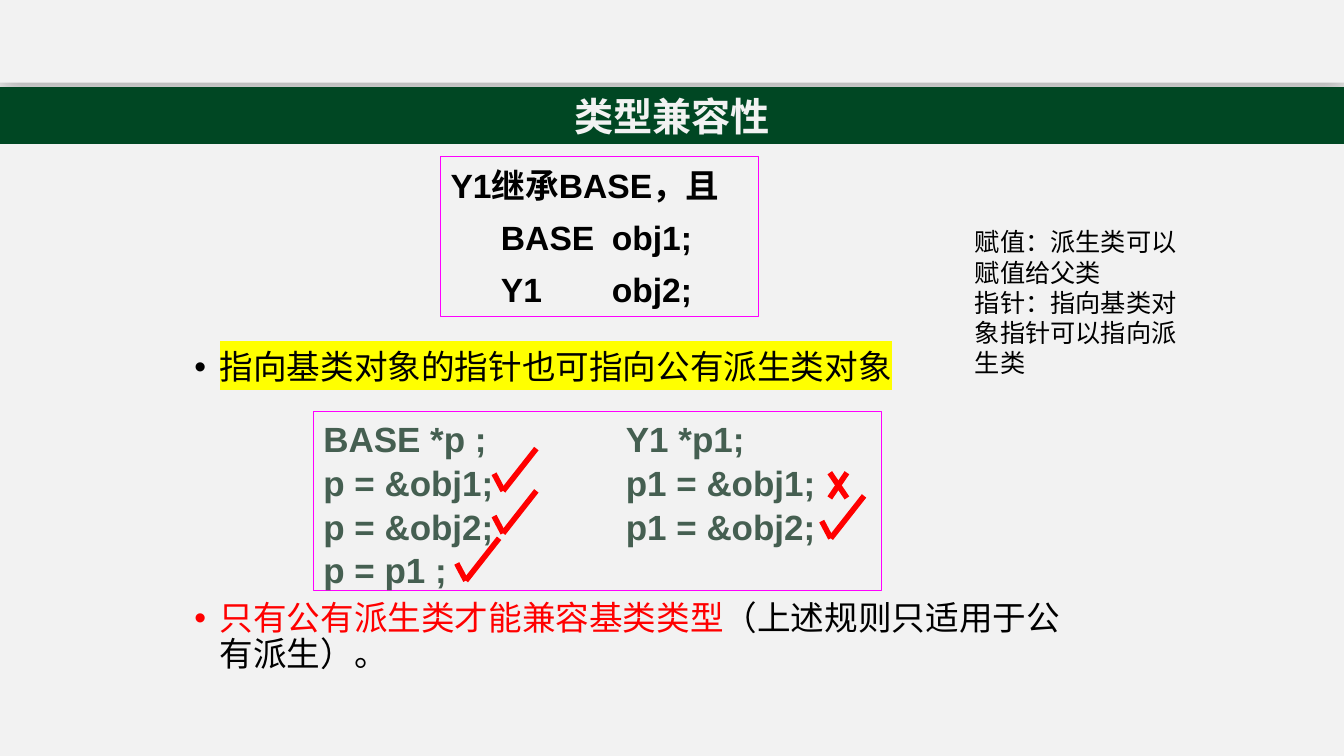
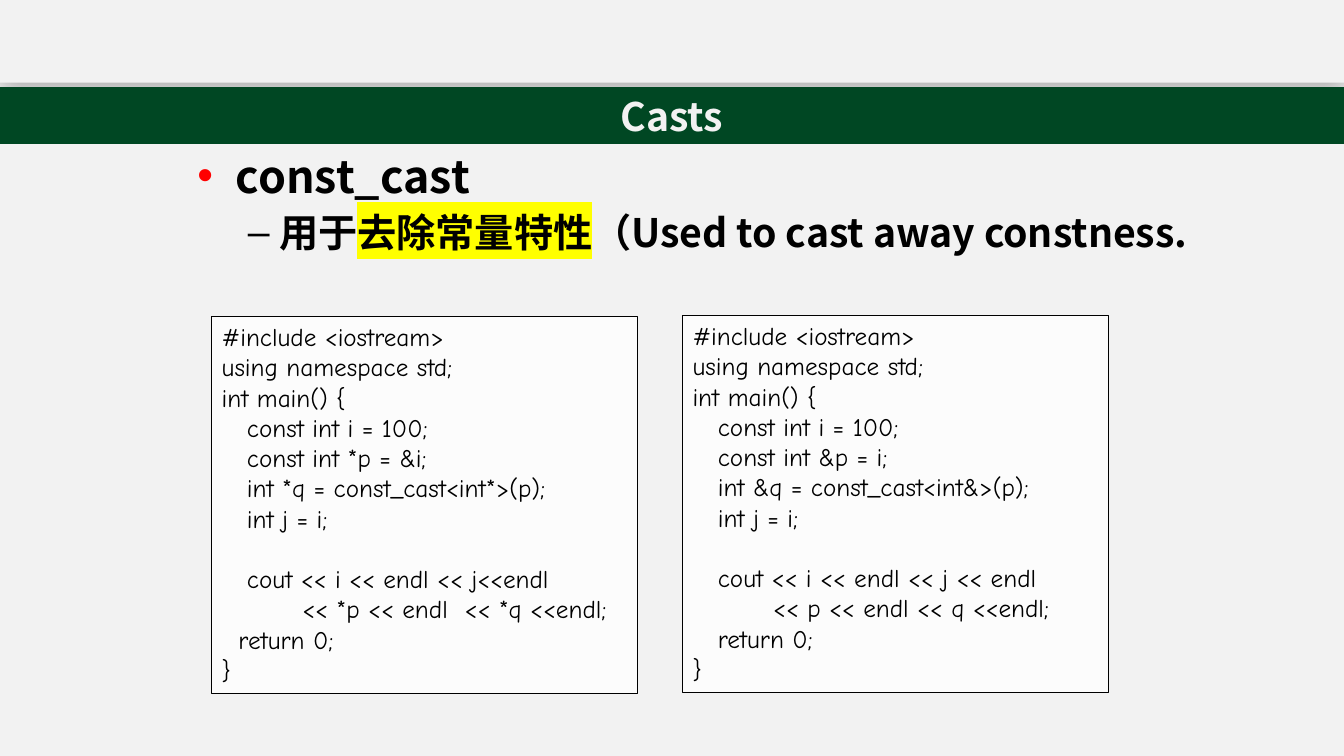
from lxml import etree
from pptx import Presentation
from pptx.dml.color import RGBColor
from pptx.enum.shapes import MSO_CONNECTOR, MSO_SHAPE
from pptx.enum.text import MSO_ANCHOR, PP_ALIGN
from pptx.oxml.ns import qn
from pptx.util import Inches, Pt

RECT = MSO_SHAPE.RECTANGLE
STRAIGHT = MSO_CONNECTOR.STRAIGHT
TOP, MIDDLE = MSO_ANCHOR.TOP, MSO_ANCHOR.MIDDLE
LEFT, CENTER = PP_ALIGN.LEFT, PP_ALIGN.CENTER


class Theme:
    paper, band, title = "F2F2F2", "004723", "F2F2F2"
    ink, red, code, frame = "000000", "FF0000", "455F51", "FF00FF"
    white, marker = "FFFFFF", "FFFF00"
    cjk, sans, comic = "Noto Sans CJK SC", "Arial", "Comic Neue"
    title_size, head_size, sub_size = 28, 32, 28
    body_size, pointer_size, note_size = 24, 25, 18
    thin, mark = 0.75, 4


SLIDE_W, SLIDE_H = 13.33, 7.5

COMPATIBILITY = "类型兼容性"
DECLARATIONS = ["Y1继承BASE，且", "\tBASE\tobj1;", "\tY1\tobj2;"]
RULES = [
    ([("指向基类对象的指针也可指向公有派生类对象", Theme.ink, True)], Theme.ink, 0),
    ([("只有公有派生类才能兼容基类类型", Theme.red, False),
      ("（上述规则只适用于公有派生）。", Theme.ink, False)], Theme.red, 153.6),
]
POINTERS = ["BASE *p ;\tY1 *p1;", "p = &obj1;\tp1 = &obj1;",
            "p = &obj2;\tp1 = &obj2;", "p = p1 ;"]
NOTES = ["赋值：派生类可以赋值给父类", "指针：指向基类对象指针可以指向派生类"]
TICKS = [(4.9, 4.7), (4.9, 5.12), (4.53, 5.59), (8.15, 5.17)]
CROSS = (8.23, 4.69)

CASTS = "Casts"
CAST_NAME = "const_cast"
CAST_USE = [("用于", Theme.ink, False), ("去除常量特性", Theme.ink, True),
            ("（Used to cast away constness.", Theme.ink, False)]
HEADER = ["#include <iostream>", "using namespace std;", "int main() {",
          "   const int i = 100;"]
LISTINGS = [
    (2.1, 3.14,
     HEADER + ["   const int *p = &i;", "   int *q = const_cast<int*>(p);", "   int j = i;"],
     ["   cout << i << endl << j<<endl", "\t<< *p << endl  << *q <<endl;", "  return 0;", "}"]),
    (6.77, 3.13,
     HEADER + ["   const int &p = i;", "   int &q = const_cast<int&>(p);", "   int j = i;"],
     ["   cout << i << endl << j << endl", "\t<< p << endl << q <<endl;", "   return 0;", "}"]),
]


def rgb(value):
    return RGBColor.from_string(value)


def child(parent, tag, **attrs):
    return etree.SubElement(parent, qn(tag), {k: str(v) for k, v in attrs.items()})


def add_box(s, left, top, width, height, fill=None, line=None, weight=Theme.thin, alpha=None):
    sp = s.shapes.add_shape(RECT, Inches(left), Inches(top), Inches(width), Inches(height))
    sp.shadow.inherit = False
    if fill:
        sp.fill.solid()
        sp.fill.fore_color.rgb = rgb(fill)
        if alpha:
            color = sp._element.spPr.find(qn("a:solidFill"))[0]
            child(color, "a:alpha", val=alpha * 1000)
    else:
        sp.fill.background()
    if line:
        sp.line.color.rgb = rgb(line)
        sp.line.width = Pt(weight)
    else:
        sp.line.fill.background()
    return sp


def add_text(s, left, top, width, height):
    return s.shapes.add_textbox(Inches(left), Inches(top), Inches(width), Inches(height))


def start_text(sp, anchor=TOP):
    tf = sp.text_frame
    tf.word_wrap = True
    tf.vertical_anchor = anchor
    return tf


def add_paragraph(tf, runs, size, font, color=Theme.ink, bold=False, align=LEFT,
                  spacing=None, before=0, bullet=None, tabs=()):
    p = tf.paragraphs[0]
    if p.runs:
        p = tf.add_paragraph()
    p.alignment = align
    if spacing:
        p.line_spacing = spacing
    if before:
        p.space_before = Pt(before)
    pPr = p._p.get_or_add_pPr()
    if bullet:
        char, bullet_color, margin, hang = bullet
        pPr.set("marL", str(Inches(margin)))
        pPr.set("indent", str(-Inches(hang)))
        child(child(pPr, "a:buClr"), "a:srgbClr", val=bullet_color)
        child(pPr, "a:buFont", typeface=Theme.sans)
        child(pPr, "a:buChar", char=char)
    if tabs:
        stops = child(pPr, "a:tabLst")
        for stop in tabs:
            child(stops, "a:tab", pos=Inches(stop), algn="l")
    f = p.font
    f.size, f.name, f.bold = Pt(size), font, bold
    f.color.rgb = rgb(color)
    child(f._element, "a:ea", typeface=Theme.cjk)
    if isinstance(runs, str):
        runs = [(runs, color, False)]
    for text, run_color, marked in runs:
        r = p.add_run()
        r.text = text
        if run_color != color:
            r.font.color.rgb = rgb(run_color)
        if marked:
            highlight = child(r._r.get_or_add_rPr(), "a:highlight")
            child(highlight, "a:srgbClr", val=Theme.marker)


def add_stroke(s, start, end):
    line = s.shapes.add_connector(STRAIGHT, *(Inches(v) for v in start + end))
    line.line.color.rgb = rgb(Theme.red)
    line.line.width = Pt(Theme.mark)
    child(line._element.spPr, "a:effectLst")


def add_tick(s, x, y):
    corner = (x + 0.09, y + 0.17)
    add_stroke(s, (x, y), corner)
    add_stroke(s, corner, (x + 0.42, y - 0.25))


def add_cross(s, x, y, width=0.17, height=0.25):
    add_stroke(s, (x, y), (x + width, y + height))
    add_stroke(s, (x + width, y), (x, y + height))


def add_slide(prs, title):
    s = prs.slides.add_slide(prs.slide_layouts[6])
    s.background.fill.solid()
    s.background.fill.fore_color.rgb = rgb(Theme.paper)
    header = add_box(s, 0, 0, SLIDE_W, 0.82, Theme.paper)
    effects = header._element.spPr.find(qn("a:effectLst"))
    shadow = child(effects, "a:outerShdw", blurRad=Pt(18), dist=Pt(4), dir=5400000,
                   algn="t", rotWithShape=0)
    child(child(shadow, "a:srgbClr", val=Theme.ink), "a:alpha", val=29000)
    band = add_box(s, 0, 0.87, SLIDE_W, 0.55, Theme.band, Theme.band, 1)
    add_paragraph(start_text(band, MIDDLE), title, Theme.title_size, Theme.cjk,
                  Theme.title, bold=True, align=CENTER)
    return s


def build_compatibility(prs):
    s = add_slide(prs, COMPATIBILITY)
    tf = start_text(add_text(s, 1.83, 3.43, 9.02, 3.4))
    for runs, bullet_color, before in RULES:
        add_paragraph(tf, runs, Theme.body_size, Theme.cjk, spacing=Pt(25.7),
                      before=before, bullet=("•", bullet_color, 0.25, 0.25))
    tf = start_text(add_box(s, 4.37, 1.55, 3.15, 1.59, line=Theme.frame))
    for i, text in enumerate(DECLARATIONS):
        add_paragraph(tf, text, Theme.body_size, Theme.sans, bold=True, spacing=1.1,
                      before=5.5 if i else 0, tabs=(0.5, 1.6) if i else ())
    tf = start_text(add_box(s, 3.11, 4.08, 5.63, 1.78, line=Theme.frame))
    for text in POINTERS:
        add_paragraph(tf, text, Theme.pointer_size, Theme.sans, Theme.code, bold=True,
                      spacing=1.04, tabs=(3,))
    for x, y in TICKS:
        add_tick(s, x, y)
    add_cross(s, *CROSS)
    tf = start_text(add_text(s, 9.57, 2.2, 2.42, 1.61))
    for text in NOTES:
        add_paragraph(tf, text, Theme.note_size, Theme.cjk, spacing=Pt(21.6))


def build_casts(prs):
    s = add_slide(prs, CASTS)
    tf = start_text(add_text(s, 1.86, 1.37, 10.42, 1.4))
    add_paragraph(tf, CAST_NAME, Theme.head_size, Theme.cjk, bold=True, spacing=1.1,
                  bullet=("•", Theme.red, 0.38, 0.38))
    add_paragraph(tf, CAST_USE, Theme.sub_size, Theme.cjk, bold=True, spacing=1.1,
                  before=1, bullet=("–", Theme.ink, 0.81, 0.31))
    pitch = 21.6
    for left, top, setup, output in LISTINGS:
        tf = start_text(add_box(s, left, top, 4.22, 3.74, Theme.white, Theme.ink, alpha=80))
        for i, text in enumerate(setup + output):
            add_paragraph(tf, text, Theme.note_size, Theme.comic, spacing=Pt(pitch),
                          before=pitch if i == len(setup) else 0, tabs=(0.8,))


def main():
    prs = Presentation()
    prs.slide_width, prs.slide_height = Inches(SLIDE_W), Inches(SLIDE_H)
    build_compatibility(prs)
    build_casts(prs)
    prs.save("out.pptx")


if __name__ == "__main__":
    main()
